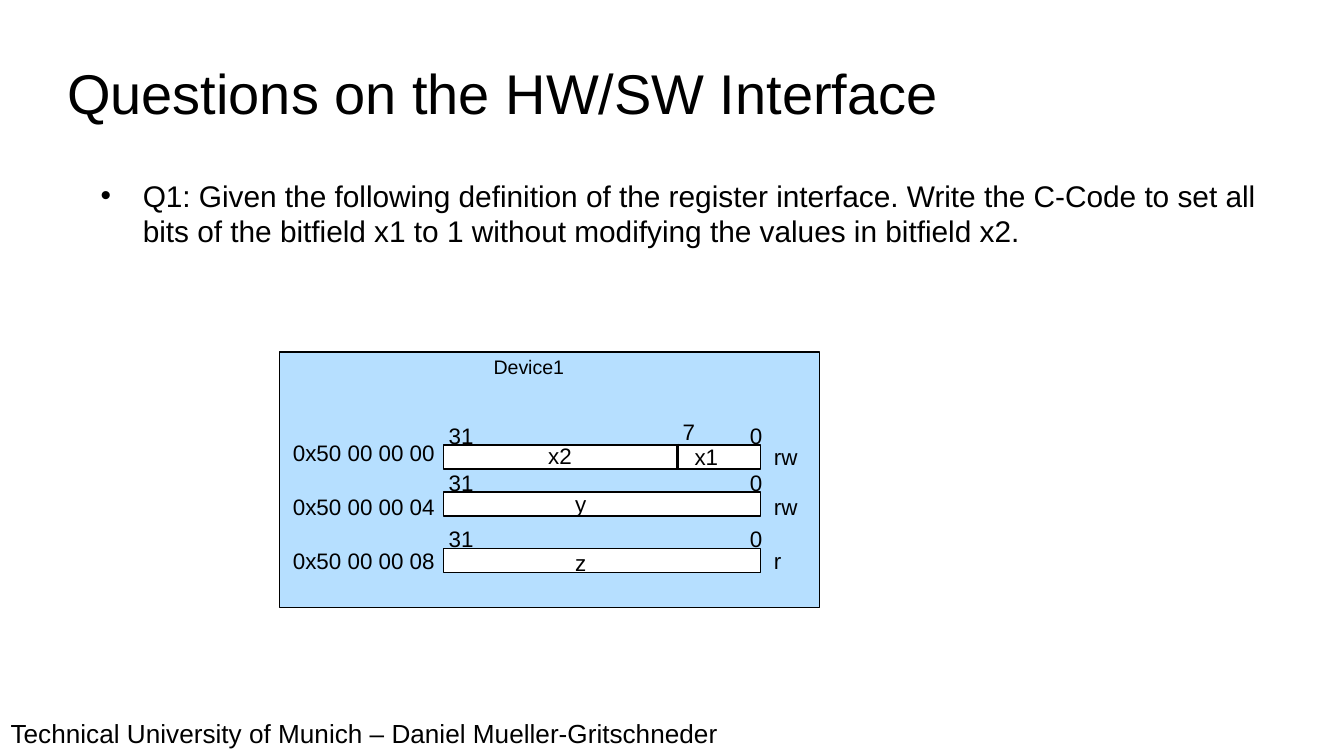
"""Build a slide with a register interface question and its device memory map."""
from dataclasses import dataclass

from lxml.etree import SubElement
from pptx import Presentation
from pptx.dml.color import RGBColor
from pptx.enum.shapes import MSO_CONNECTOR as CONN, MSO_SHAPE as SHAPE
from pptx.enum.text import MSO_ANCHOR as ANCHOR, PP_ALIGN as ALIGN
from pptx.oxml.ns import qn
from pptx.shapes.autoshape import Shape
from pptx.slide import Slide
from pptx.util import Pt

BLACK = RGBColor(0x00, 0x00, 0x00)
WHITE = RGBColor(0xFF, 0xFF, 0xFF)
LIGHT_BLUE = RGBColor(0xB6, 0xDF, 0xFF)

FONT = "Arial"
REG_LEFT, REG_WIDTH, REG_HEIGHT = 237.6, 169.9, 13
LABEL_WIDTH, LABEL_HEIGHT = 29.5, 21.6
SPLIT_X = 362.9


@dataclass
class Label:
    text: str
    left: float
    top: float
    width: float = LABEL_WIDTH
    height: float = LABEL_HEIGHT
    size: float = 12
    inset_x: float = 7.2
    inset_y: float = 3.6
    align: ALIGN = ALIGN.LEFT
    anchor: ANCHOR = ANCHOR.TOP


@dataclass
class Register:
    address: str
    top: float
    access: str
    access_top: float


REGISTERS = [
    Register("0x50 00 00 00", 238.3, "rw", 234),
    Register("0x50 00 00 04", 263.5, "rw", 260.6),
    Register("0x50 00 00 08", 293.8, "r", 289.4),
]

FIELDS = [
    Label("x2", 286.6, 233.3),
    Label("y", 301, 259.2, 17.3),
    Label("z", 301, 290.9, 17.3),
    Label("7", 358.6, 220.3),
    Label("x1", 365, 234),
]

FOOTER = Label("Technical University of Munich – Daniel Mueller-Gritschneder",
               -1.4, 377.3, 407.5, 27.4, 14, inset_y=7.2)
TITLE = Label("Questions on the HW/SW Interface", 36, 15.8, 648, 67.7, 30,
              inset_x=0, inset_y=0, anchor=ANCHOR.MIDDLE)
QUESTION = Label(
    "Q1: Given the following definition of the register interface. Write the C-Code to set all "
    "bits of the bitfield x1 to 1 without modifying the values in bitfield x2.",
    36, 95, 648, 234.7, 16, inset_x=0, inset_y=0)
DEVICE = Label("Device1", 226.1, 186.5, 114.5, 19.4, 10.5, align=ALIGN.CENTER)
ADDRESSES = Label("\n".join(reg.address for reg in REGISTERS), 149.8, 231.8, 203, 93.6)


def add_label(s: Slide, label: Label) -> Shape:
    sp = s.shapes.add_textbox(Pt(label.left), Pt(label.top), Pt(label.width), Pt(label.height))
    tf = sp.text_frame
    tf.word_wrap = True
    tf.vertical_anchor = label.anchor
    tf.margin_left = tf.margin_right = Pt(label.inset_x)
    tf.margin_top = tf.margin_bottom = Pt(label.inset_y)
    tf.text = label.text
    for p in tf.paragraphs:
        p.alignment = label.align
        for r in p.runs:
            r.font.name = FONT
            r.font.size = Pt(label.size)
            r.font.color.rgb = BLACK
    return sp


def add_box(s: Slide, left: float, top: float, width: float, height: float,
            fill: RGBColor) -> Shape:
    sp = s.shapes.add_shape(SHAPE.RECTANGLE, Pt(left), Pt(top), Pt(width), Pt(height))
    sp.shadow.inherit = False
    sp.fill.solid()
    sp.fill.fore_color.rgb = fill
    sp.line.color.rgb = BLACK
    sp.line.width = Pt(0.75)
    return sp


def add_bullet(sp: Shape) -> None:
    p_pr = sp.text_frame.paragraphs[0]._p.get_or_add_pPr()
    p_pr.set("marL", str(Pt(40.5)))
    p_pr.set("indent", str(Pt(-22.5)))
    SubElement(p_pr, qn("a:buFont"), typeface=FONT)
    SubElement(p_pr, qn("a:buChar"), char="•")


def add_register(s: Slide, reg: Register) -> None:
    add_box(s, REG_LEFT, reg.top, REG_WIDTH, REG_HEIGHT, WHITE)
    bit_top = reg.top - 15.8
    add_label(s, Label("31", REG_LEFT - 4.3, bit_top))
    add_label(s, Label("0", REG_LEFT + 157, bit_top))
    add_label(s, Label(reg.access, REG_LEFT + REG_WIDTH, reg.access_top, 51.1))


def add_divider(s: Slide, x: float, top: float, bottom: float) -> None:
    line = s.shapes.add_connector(CONN.STRAIGHT, Pt(x), Pt(top), Pt(x), Pt(bottom))
    line.line.color.rgb = BLACK
    line.line.width = Pt(0)
    SubElement(line._element.spPr, qn("a:effectLst"))


def main() -> None:
    prs = Presentation()
    prs.slide_width, prs.slide_height = Pt(720), Pt(405)
    s = prs.slides.add_slide(prs.slide_layouts[6])

    add_label(s, FOOTER)
    add_label(s, TITLE)
    add_bullet(add_label(s, QUESTION))

    add_box(s, 149.8, 188.6, 289.4, 136.8, LIGHT_BLUE)
    add_label(s, DEVICE)
    addresses = add_label(s, ADDRESSES)
    for p in addresses.text_frame.paragraphs[1:]:
        p.space_before = Pt(14.5)

    for reg in REGISTERS:
        add_register(s, reg)
    add_divider(s, SPLIT_X, 237.6, 251.3)
    for field in FIELDS:
        add_label(s, field)

    prs.save("out.pptx")


if __name__ == "__main__":
    main()
